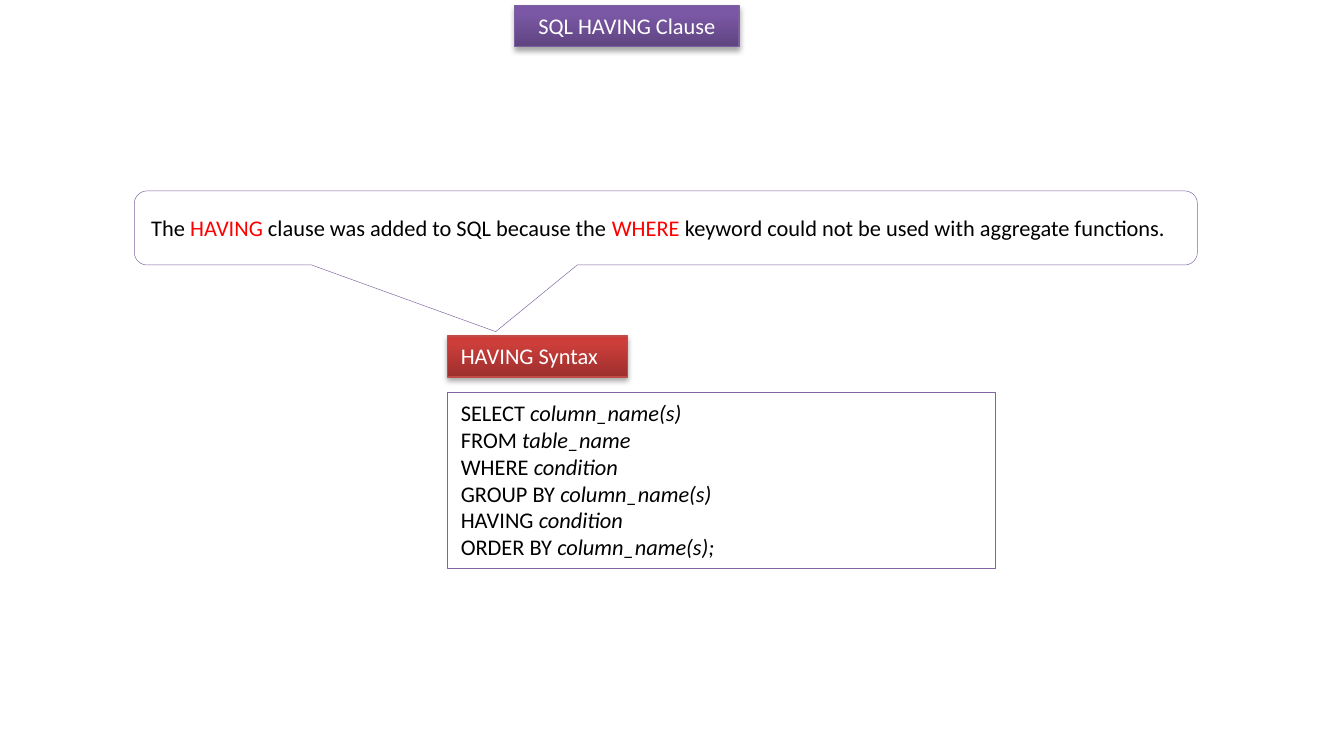
from dataclasses import dataclass

import pptx
import pptx.dml.color
import pptx.enum.shapes
import pptx.enum.text
import pptx.oxml
import pptx.oxml.ns
import pptx.util
from pptx.util import Cm

Align = pptx.enum.text.PP_ALIGN
Anchor = pptx.enum.text.MSO_ANCHOR
Shape = pptx.enum.shapes.MSO_SHAPE
NAMESPACE = pptx.oxml.ns.nsdecls("a")


@dataclass(frozen=True)
class Theme:
    font: str = "Calibri"
    size: float = 12
    ink: str = "000000"
    paper: str = "FFFFFF"
    keyword: str = "FF0000"
    outline: str = "8064A2"
    thin: float = 0.25
    label_line: float = 0.75


@dataclass(frozen=True)
class Place:
    left: float
    top: float
    width: float
    height: float


@dataclass(frozen=True)
class Label:
    text: str
    place: Place
    stops: tuple[str, str, str]
    outline: str
    align: Align


THEME = Theme()

LABELS = [
    Label("SQL HAVING Clause", Place(9.73, 0.1, 4.24, 0.78),
          ("5F4480", "7B58A6", "7C57A8"), "7D60A0", Align.CENTER),
    Label("HAVING Syntax", Place(8.46, 6.35, 3.4, 0.78),
          ("9C2F2D", "CB3E3A", "CE3B37"), "BF4C48", Align.LEFT),
]

SYNTAX = [
    ("SELECT ", "column_name(s)"),
    ("FROM ", "table_name"),
    ("WHERE ", "condition"),
    ("GROUP BY ", "column_name(s)"),
    ("HAVING ", "condition"),
    ("ORDER BY ", "column_name(s);"),
]

REASON = [
    ("The ", THEME.ink),
    ("HAVING", THEME.keyword),
    (" clause was added to SQL because the ", THEME.ink),
    ("WHERE", THEME.keyword),
    (" keyword could not be used with aggregate functions.", THEME.ink),
]


def rgb(value: str) -> pptx.dml.color.RGBColor:
    return pptx.dml.color.RGBColor.from_string(value)


def add_span(para, text: str, *, color: str = THEME.ink, italic: bool = False) -> None:
    span = para.add_run()
    span.text = text
    span.font.name = THEME.font
    span.font.size = pptx.util.Pt(THEME.size)
    span.font.italic = italic
    span.font.color.rgb = rgb(color)


def add_box(page, kind: Shape, place: Place, *, outline: str = THEME.outline,
            weight: float = THEME.thin, align: Align = Align.LEFT,
            anchor: Anchor = Anchor.TOP):
    """Add an outlined white shape and return it with its first paragraph."""
    box = page.shapes.add_shape(kind, Cm(place.left), Cm(place.top),
                                Cm(place.width), Cm(place.height))
    box.shadow.inherit = False
    box.fill.solid()
    box.fill.fore_color.rgb = rgb(THEME.paper)
    box.line.color.rgb = rgb(outline)
    box.line.width = pptx.util.Pt(weight)
    box.text_frame.word_wrap = True
    box.text_frame.vertical_anchor = anchor
    para = box.text_frame.paragraphs[0]
    para.alignment = align
    return box, para


def set_gradient(box, colors: tuple[str, str, str]) -> None:
    box.fill.gradient()
    box.fill.gradient_angle = 90
    stop_list = box.element.spPr.find(".//" + pptx.oxml.ns.qn("a:gsLst"))
    for stop in list(stop_list):
        stop_list.remove(stop)
    for percent, color in zip((0, 80, 100), colors):
        stop_list.append(pptx.oxml.parse_xml(
            f'<a:gs {NAMESPACE} pos="{percent * 1000}"><a:srgbClr val="{color}"/></a:gs>'))


def set_shadow(box) -> None:
    effects = box.element.spPr.find(pptx.oxml.ns.qn("a:effectLst"))
    effects.append(pptx.oxml.parse_xml(
        f'<a:outerShdw {NAMESPACE} blurRad="{pptx.util.Pt(3.1)}" '
        f'dist="{pptx.util.Pt(1.8)}" dir="5400000" rotWithShape="0">'
        '<a:srgbClr val="000000"><a:alpha val="35000"/></a:srgbClr></a:outerShdw>'))


def draw_label(page, label: Label) -> None:
    box, para = add_box(page, Shape.RECTANGLE, label.place, outline=label.outline,
                        weight=THEME.label_line, align=label.align)
    set_gradient(box, label.stops)
    set_shadow(box)
    add_span(para, label.text, color=THEME.paper)


def draw_syntax(page) -> None:
    _, para = add_box(page, Shape.RECTANGLE, Place(8.46, 7.42, 10.36, 3.33))
    for index, (keyword, argument) in enumerate(SYNTAX):
        if index:
            para.add_line_break()
        add_span(para, keyword)
        add_span(para, argument, italic=True)


def draw_callout(page) -> None:
    box, para = add_box(page, Shape.ROUNDED_RECTANGULAR_CALLOUT,
                        Place(2.54, 3.61, 20.09, 1.4), anchor=Anchor.MIDDLE)
    for index, value in enumerate((-0.16, 1.4, 0.17)):
        box.adjustments[index] = value
    for text, color in REASON:
        add_span(para, text, color=color)


def main() -> None:
    deck = pptx.Presentation()
    deck.slide_width, deck.slide_height = Cm(25.4), Cm(13.97)
    page = deck.slides.add_slide(deck.slide_layouts[6])

    # Title and syntax heading
    for label in LABELS:
        draw_label(page, label)

    # Statement pattern and the reason for the clause
    draw_syntax(page)
    draw_callout(page)

    deck.save("out.pptx")


if __name__ == "__main__":
    main()
